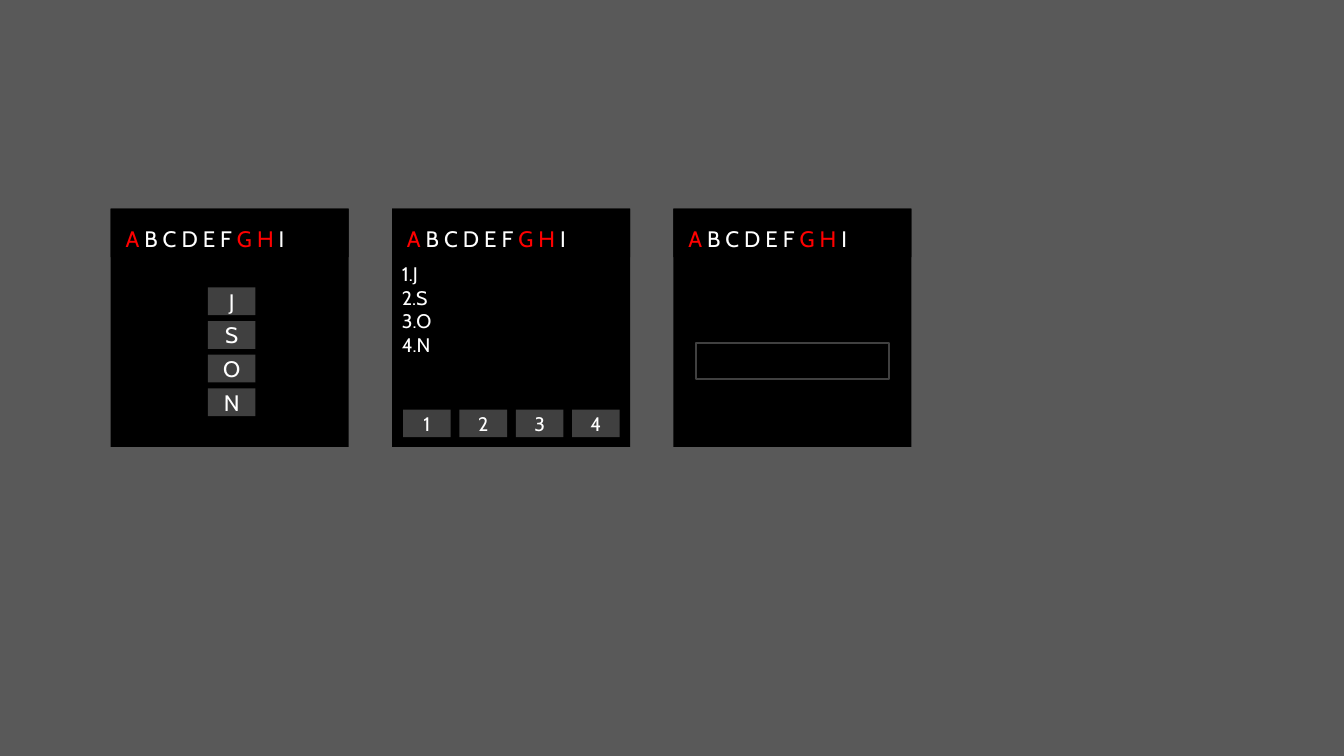
from pptx import Presentation
from pptx.dml.color import RGBColor
from pptx.enum.shapes import MSO_SHAPE
from pptx.enum.text import MSO_ANCHOR, PP_ALIGN
from pptx.util import Cm, Pt

BACKGROUND = RGBColor(0x59, 0x59, 0x59)
BLACK = RGBColor(0, 0, 0)
GREY = RGBColor(0x40, 0x40, 0x40)
WHITE = RGBColor(255, 255, 255)
RED = RGBColor(255, 0, 0)
FONT = "Cabin"

TITLE = [(" ", WHITE), ("A", RED), (" B C D E F ", WHITE), ("G H", RED), (" I", WHITE)]
LETTERS = ["J", "S", "O", "N"]
NUMBERS = ["1", "2", "3", "4"]

PANEL_LEFT, PANEL_TOP, PANEL_STEP, PANEL_SIZE = 2.79, 5.26, 7.09, 6
HEADER_H = 1.22
BUTTON_W, BUTTON_H = 1.2, 0.7


def add_run(p, text, size, color):
    r = p.add_run()
    r.text = text
    r.font.name = FONT
    r.font.size = Pt(size)
    r.font.color.rgb = color


def add_rect(shapes, left, top, width, height, fill=None):
    sp = shapes.add_shape(MSO_SHAPE.RECTANGLE, Cm(left), Cm(top), Cm(width), Cm(height))
    sp.shadow.inherit = False
    sp.line.fill.background()
    if fill is None:
        sp.fill.background()
    else:
        sp.fill.solid()
        sp.fill.fore_color.rgb = fill
    return sp


def add_button(shapes, left, top, label, size):
    tf = add_rect(shapes, left, top, BUTTON_W, BUTTON_H, GREY).text_frame
    tf.vertical_anchor = MSO_ANCHOR.MIDDLE
    p = tf.paragraphs[0]
    p.alignment = PP_ALIGN.CENTER
    add_run(p, label, size, WHITE)


def add_panel(slide, index):
    shapes = slide.shapes.add_group_shape().shapes
    left = PANEL_LEFT + index * PANEL_STEP
    add_rect(shapes, left, PANEL_TOP, PANEL_SIZE, PANEL_SIZE, BLACK)
    tf = add_rect(shapes, left, PANEL_TOP, PANEL_SIZE, HEADER_H, BLACK).text_frame
    tf.vertical_anchor = MSO_ANCHOR.BOTTOM
    p = tf.paragraphs[0]
    p.alignment = PP_ALIGN.LEFT
    for text, color in TITLE:
        add_run(p, text, 16, color)
    return shapes, left


prs = Presentation()
prs.slide_width, prs.slide_height = Cm(33.87), Cm(19.05)
slide = prs.slides.add_slide(prs.slide_layouts[6])
slide.background.fill.solid()
slide.background.fill.fore_color.rgb = BACKGROUND

shapes, left = add_panel(slide, 0)
for i, letter in enumerate(LETTERS):
    add_button(shapes, left + 2.45, 7.24 + i * 0.85, letter, 16)

shapes, left = add_panel(slide, 1)
choices = shapes.add_textbox(Cm(left), Cm(PANEL_TOP + HEADER_H), Cm(PANEL_SIZE), Cm(2.64))
tf = choices.text_frame
tf.word_wrap = True
for i, (number, letter) in enumerate(zip(NUMBERS, LETTERS)):
    p = tf.add_paragraph() if i else tf.paragraphs[0]
    add_run(p, f"{number}.{letter}", 14, WHITE)
for i, number in enumerate(NUMBERS):
    add_button(shapes, left + 0.28 + i * 1.42, 10.32, number, 14)

shapes, left = add_panel(slide, 2)
answer = add_rect(shapes, left + 0.57, 8.64, 4.86, 0.92)
answer.line.color.rgb = GREY
answer.line.width = Pt(1.5)

prs.save("out.pptx")
